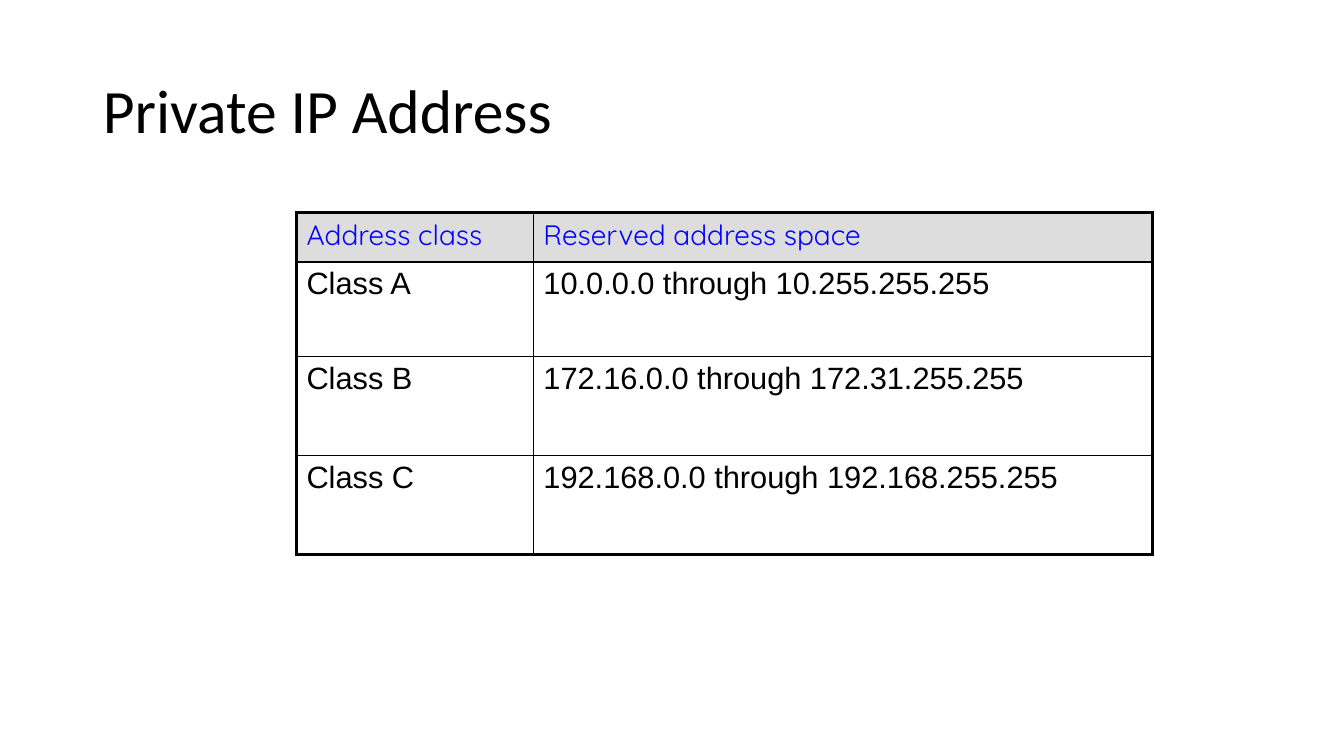
from lxml import etree
from pptx import Presentation
from pptx.dml.color import RGBColor
from pptx.enum.text import MSO_ANCHOR, PP_ALIGN
from pptx.oxml.ns import qn
from pptx.util import Inches, Pt

LEFT, JUSTIFY = PP_ALIGN.LEFT, PP_ALIGN.JUSTIFY
MIDDLE = MSO_ANCHOR.MIDDLE

BLACK = RGBColor(0x00, 0x00, 0x00)
BLUE = RGBColor(0x00, 0x00, 0xFF)
GRAY = RGBColor(0xDD, 0xDD, 0xDD)

TITLE = "Private IP Address"
ROWS = [
    ("Address class", "Reserved address space "),
    ("Class A", "10.0.0.0 through 10.255.255.255"),
    ("Class B", "172.16.0.0 through 172.31.255.255"),
    ("Class C", "192.168.0.0 through 192.168.255.255"),
]
COL_WIDTHS = (2.35, 6.14)
ROW_HEIGHTS = (0.49, 0.94, 0.98, 0.98)
OUTER, INNER = 2.25, 1


def style_text(p, font, size, color, align):
    """Align a paragraph and format its runs."""
    p.alignment = align
    for r in p.runs:
        r.font.name = font
        r.font.size = Pt(size)
        r.font.color.rgb = color


def space_before(p, percent):
    """Set the space before a paragraph as a share of its line."""
    spacing = etree.SubElement(p._p.get_or_add_pPr(), qn("a:spcBef"))
    etree.SubElement(spacing, qn("a:spcPct"), val=str(percent * 1000))


def set_borders(cell, widths):
    """Draw black left, right, top and bottom borders of the given widths."""
    tcPr = cell._tc.get_or_add_tcPr()
    for i, (side, width) in enumerate(zip("LRTB", widths)):
        ln = etree.Element(qn(f"a:ln{side}"), w=str(Pt(width)))
        fill = etree.SubElement(ln, qn("a:solidFill"))
        etree.SubElement(fill, qn("a:srgbClr"), val=str(BLACK))
        tcPr.insert(i, ln)


def add_title(s):
    """Fill and place the title placeholder."""
    sp = s.shapes.title
    sp.left, sp.top = Inches(0.92), Inches(0.4)
    sp.width, sp.height = Inches(11.5), Inches(1.45)
    tf = sp.text_frame
    tf.text = TITLE
    tf.vertical_anchor = MIDDLE
    p = tf.paragraphs[0]
    p.line_spacing = 0.9
    style_text(p, "Calibri", 44, BLACK, LEFT)


def add_address_table(s):
    """Add the table of reserved ranges, with a heavier outer frame."""
    last_row, last_col = len(ROWS) - 1, len(COL_WIDTHS) - 1
    table = s.shapes.add_table(
        len(ROWS), len(COL_WIDTHS), Inches(2.94), Inches(2.11),
        Inches(sum(COL_WIDTHS)), Inches(sum(ROW_HEIGHTS))).table
    table.horz_banding = False
    for column, width in zip(table.columns, COL_WIDTHS):
        column.width = Inches(width)
    for row, height in zip(table.rows, ROW_HEIGHTS):
        row.height = Inches(height)

    for i, texts in enumerate(ROWS):
        for j, text in enumerate(texts):
            cell = table.cell(i, j)
            cell.text = text
            p = cell.text_frame.paragraphs[0]
            if i == 0:
                cell.fill.solid()
                cell.fill.fore_color.rgb = GRAY
                style_text(p, "Quicksand", 20, BLUE, JUSTIFY)
            else:
                cell.fill.background()
                style_text(p, "Arial", 22, BLACK, LEFT)
            p.runs[0].font.bold = False
            space_before(p, 20)
            on_edge = (j == 0, j == last_col, i == 0, i == last_row)
            set_borders(cell, [OUTER if edge else INNER for edge in on_edge])


prs = Presentation()
prs.slide_width, prs.slide_height = Inches(13.33), Inches(7.5)
s = prs.slides.add_slide(prs.slide_layouts[5])
add_title(s)
add_address_table(s)
prs.save("out.pptx")
